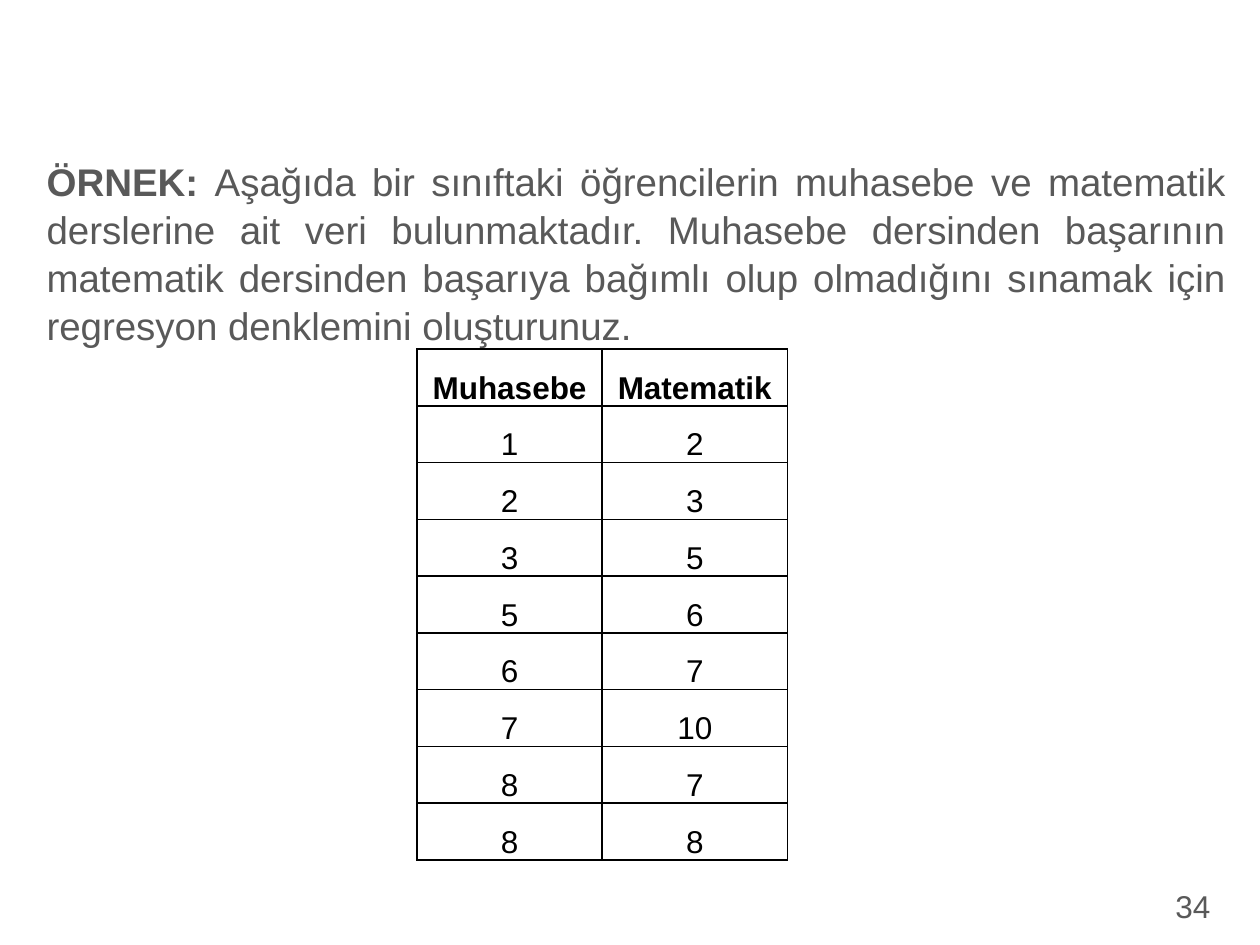
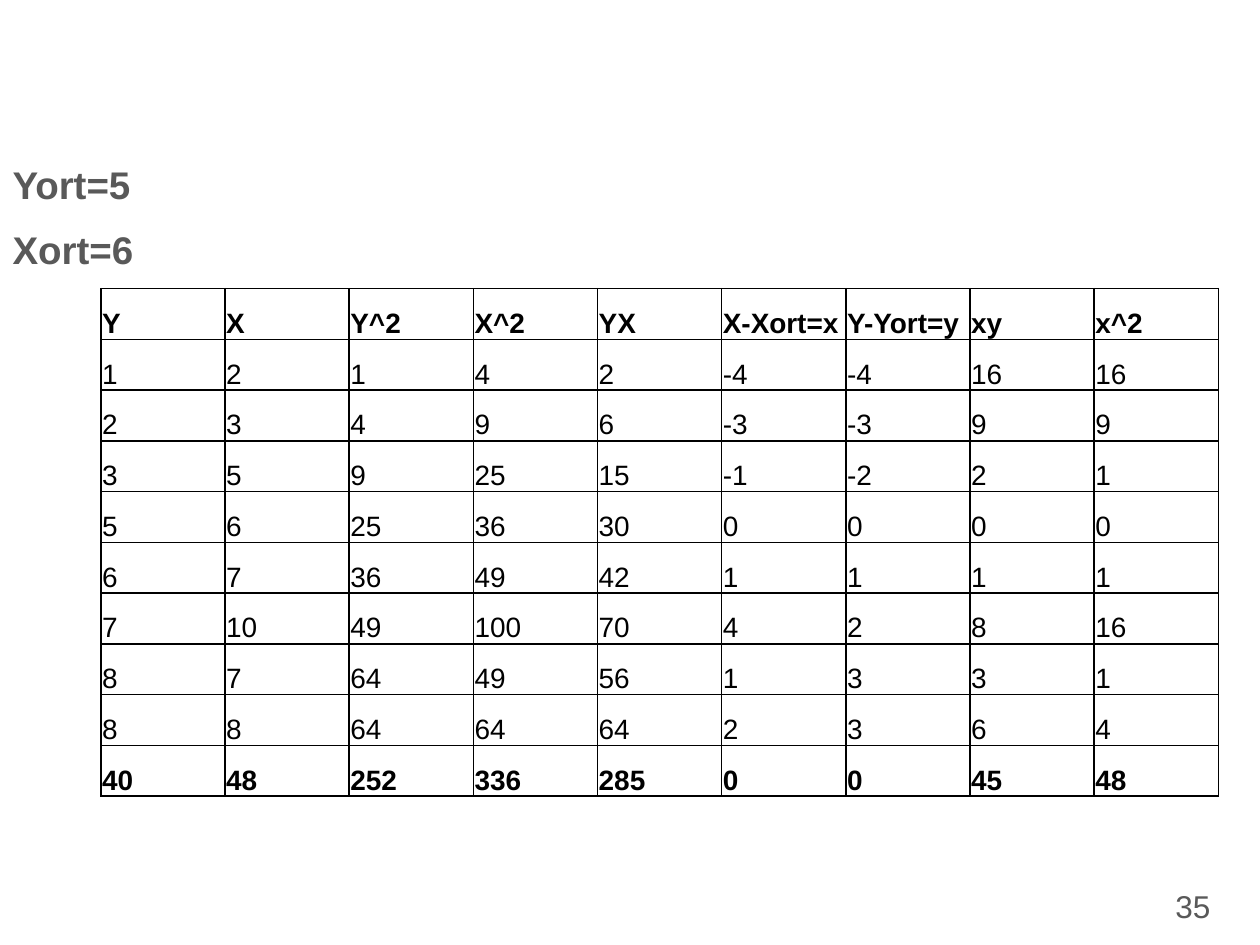
from lxml.etree import SubElement
from pptx import Presentation
from pptx.dml.color import RGBColor
from pptx.enum.text import MSO_ANCHOR as Anchor, MSO_AUTO_SIZE as AutoSize, PP_ALIGN as Align
from pptx.oxml.ns import qn
from pptx.util import Inches, Pt

COLORS = {"text": "595959", "table": "000000"}
FONT = "Arial"

SCORES = [(1, 2), (2, 3), (3, 5), (5, 6), (6, 7), (7, 10), (8, 7), (8, 8)]
MEAN_Y = sum(y for y, x in SCORES) // len(SCORES)
MEAN_X = sum(x for y, x in SCORES) // len(SCORES)
SUMS_HEADER = ["Y", "X", "Y^2", "X^2", "YX", "X-Xort=x", "Y-Yort=y", "xy", "x^2"]
QUESTION = (
    "Aşağıda bir sınıftaki öğrencilerin muhasebe ve matematik derslerine ait veri "
    "bulunmaktadır. Muhasebe dersinden başarının matematik dersinden başarıya bağımlı "
    "olup olmadığını sınamak için regresyon denklemini oluşturunuz."
)


class Slides:
    def __init__(self):
        self.deck = Presentation()
        self.deck.slide_width, self.deck.slide_height = Inches(10), Inches(7.5)
        self.page = None

    def add_page(self, number):
        self.page = self.deck.slides.add_slide(self.deck.slide_layouts[1])
        title = self.page.shapes.title.element
        title.getparent().remove(title)
        box = self.page.shapes.add_textbox(Inches(9.23), Inches(6.99), Inches(0.78), Inches(0.4))
        box.text_frame.word_wrap = True
        box.text_frame.text = str(number)
        self.style(box.text_frame.paragraphs[0].runs[0], 18, "text")

    def style(self, span, size, color, bold=False):
        span.font.name, span.font.size, span.font.bold = FONT, Pt(size), bold
        span.font.color.rgb = RGBColor.from_string(COLORS[color])

    def body(self, left, top, width, height, paragraphs, align=Align.LEFT):
        box = self.page.placeholders[1]
        box.left, box.top = Inches(left), Inches(top)
        box.width, box.height = Inches(width), Inches(height)
        frame = box.text_frame
        frame.auto_size = AutoSize.NONE
        for index, spans in enumerate(paragraphs):
            para = frame.add_paragraph() if index else frame.paragraphs[0]
            properties = para._p.get_or_add_pPr()
            properties.set("marL", "0")
            properties.set("indent", "0")
            SubElement(properties, qn("a:buNone"))
            para.alignment, para.line_spacing = align, 1.04
            para.space_before = Pt(10 if index else 0)
            for text, bold in spans:
                span = para.add_run()
                span.text = text
                self.style(span, 22, "text", bold)

    def table(self, left, top, width, height, rows, size, align, margin, bold_rows):
        grid = self.page.shapes.add_table(
            len(rows), len(rows[0]), Inches(left), Inches(top), Inches(width), Inches(height)
        ).table
        for row_index, row in enumerate(rows):
            for column_index, value in enumerate(row):
                cell = grid.cell(row_index, column_index)
                self.cell(cell, value, size, align, margin, row_index in bold_rows)

    def cell(self, cell, value, size, align, margin, bold):
        cell.margin_left = cell.margin_right = Inches(margin)
        cell.margin_top = cell.margin_bottom = 0
        cell.vertical_anchor = Anchor.BOTTOM
        self.borders(cell)
        cell.fill.background()
        cell.text_frame.text = str(value)
        para = cell.text_frame.paragraphs[0]
        para.alignment, para.line_spacing = align, 1.5
        properties = para._p.get_or_add_pPr()
        properties.set("marL", str(Inches(0.25)))
        properties.set("indent", str(Inches(-0.25)))
        self.style(para.runs[0], size, "table", bold)

    def borders(self, cell):
        properties = cell._tc.get_or_add_tcPr()
        for side in ("lnL", "lnR", "lnT", "lnB"):
            line = SubElement(properties, qn(f"a:{side}"), w=str(Pt(1)))
            fill = SubElement(line, qn("a:solidFill"))
            SubElement(fill, qn("a:srgbClr"), val=COLORS["table"])


def sums_rows():
    rows = []
    for y, x in SCORES:
        dx, dy = x - MEAN_X, y - MEAN_Y
        rows.append([y, x, y**2, x**2, y * x, dx, dy, dx * dy, dx**2])
    totals = [sum(column) for column in zip(*rows)]
    return [SUMS_HEADER, *rows, totals]


def main():
    slides = Slides()

    slides.add_page(34)
    slides.body(0.27, 1.19, 9.56, 5.71, [[("ÖRNEK: ", True), (QUESTION, False)]], Align.JUSTIFY)
    scores = [("Muhasebe", "Matematik"), *SCORES]
    slides.table(3.31, 2.77, 2.94, 3.66, scores, 18, Align.CENTER, 0, {0})

    slides.add_page(35)
    means = [[(f"Yort={MEAN_Y}", True)], [(f"Xort={MEAN_X}", True)]]
    slides.body(0, 1.21, 9.83, 5.69, means)
    sums = sums_rows()
    slides.table(0.8, 2.29, 8.87, 4.03, sums, 16, Align.JUSTIFY, 0.01, {0, len(sums) - 1})

    slides.deck.save("out.pptx")


if __name__ == "__main__":
    main()
